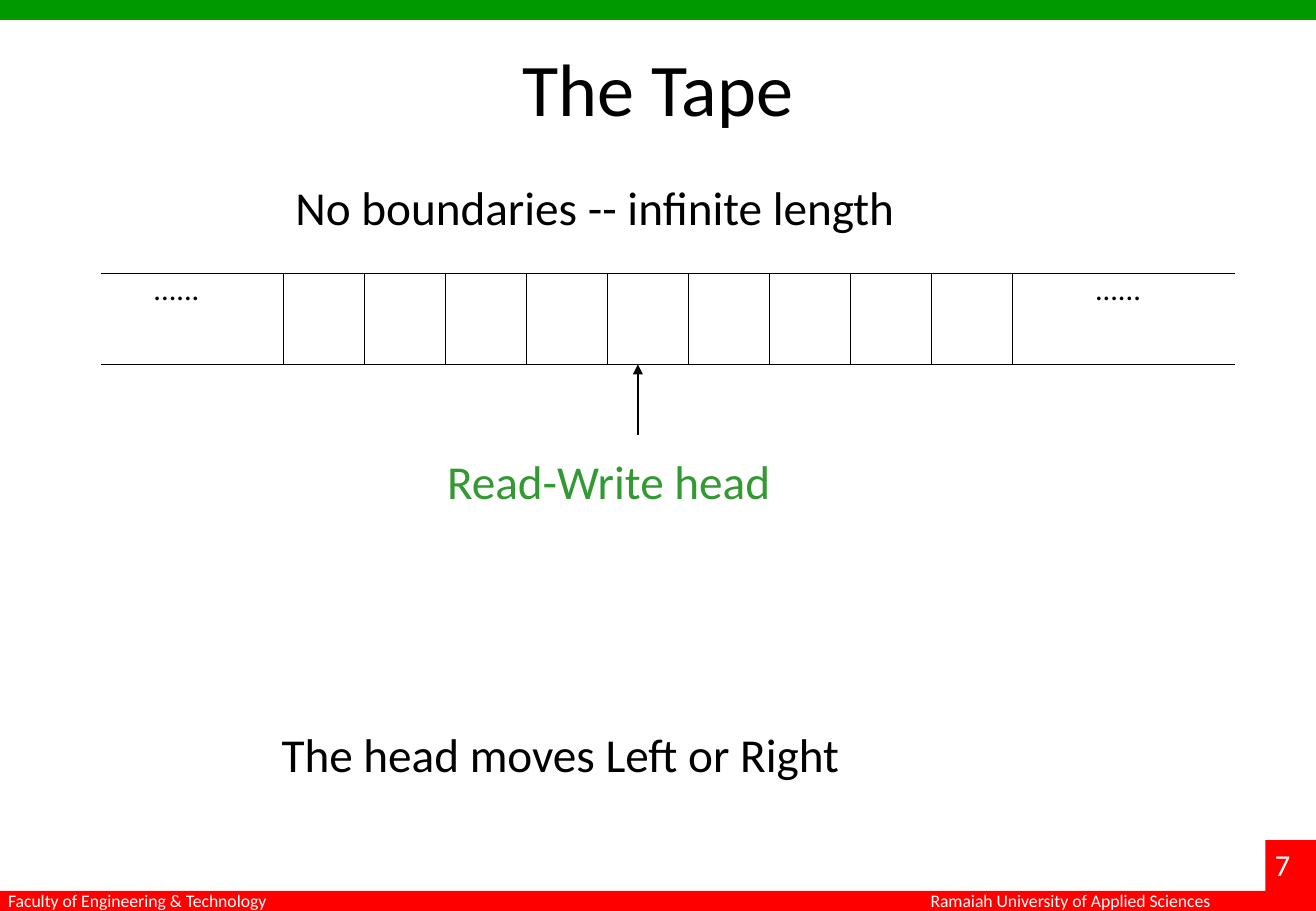
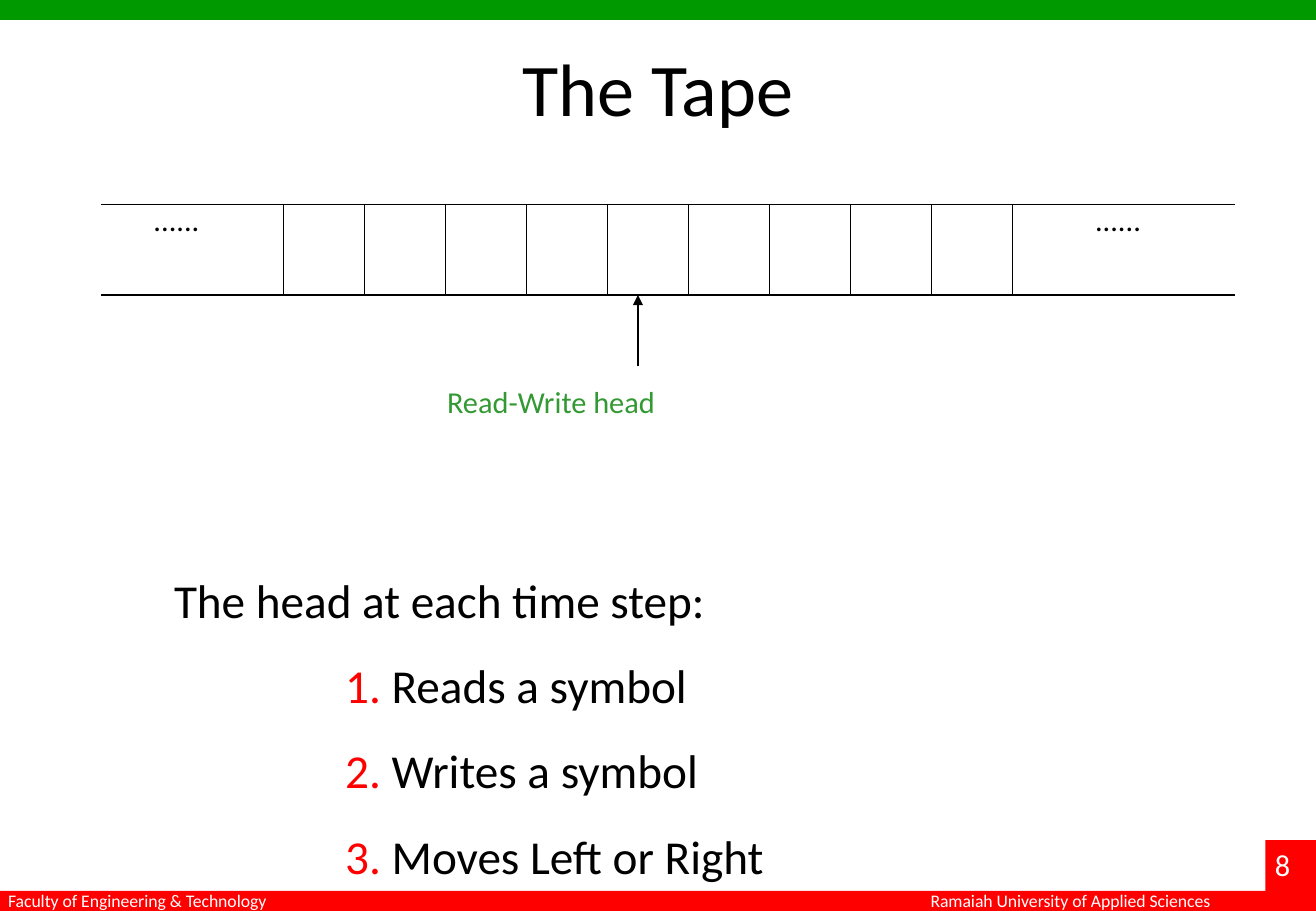
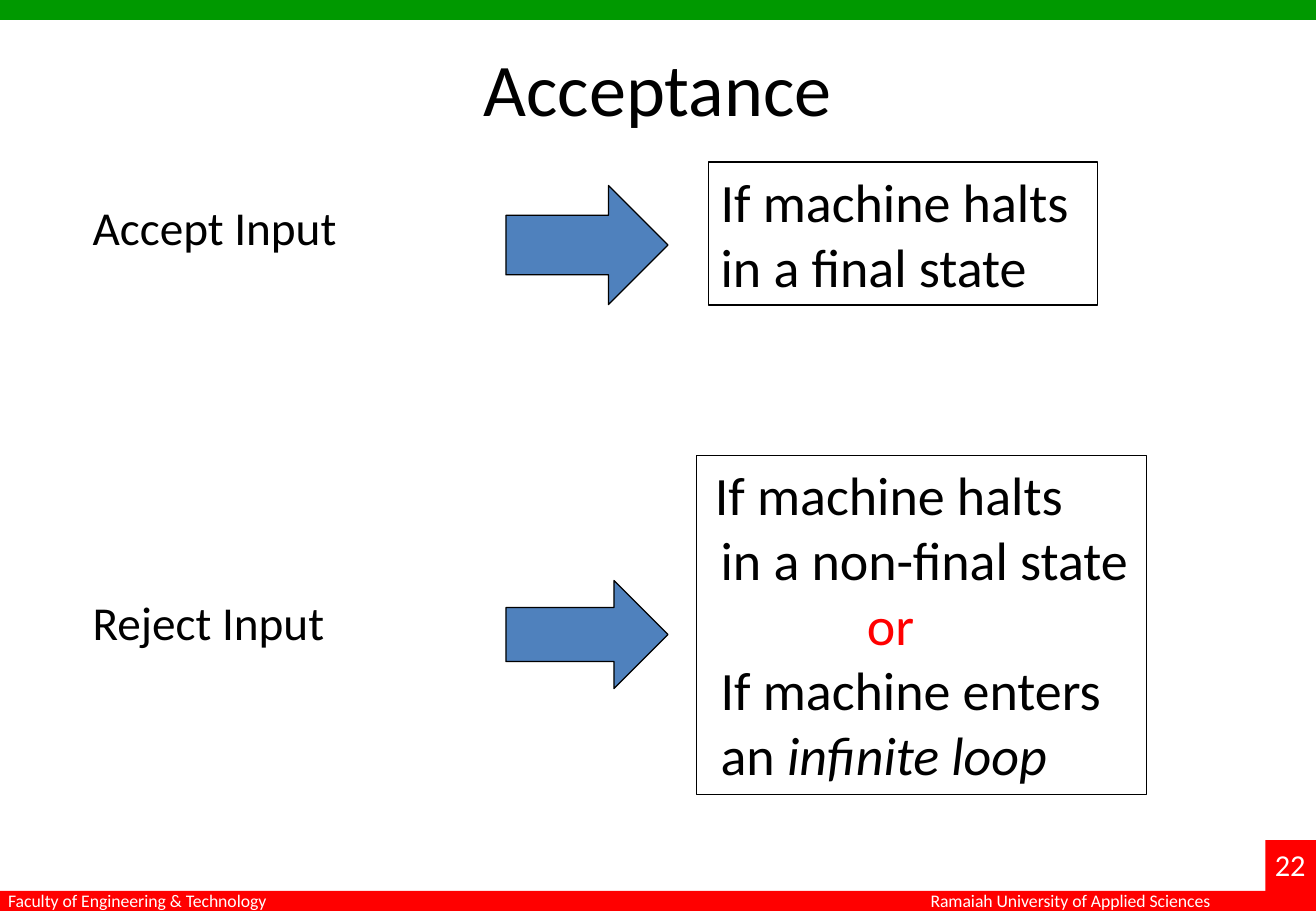
from dataclasses import dataclass

from pptx import Presentation
from pptx.dml.color import RGBColor
from pptx.enum.shapes import MSO_CONNECTOR, MSO_SHAPE
from pptx.enum.text import MSO_ANCHOR, PP_ALIGN
from pptx.oxml.ns import qn
from pptx.util import Cm, Pt
from lxml import etree

FONT = "Calibri"
BLACK, WHITE, RED = "000000", "FFFFFF", "FF0000"
BAND_GREEN, LABEL_GREEN, ARROW_BLUE = "009900", "339933", "4F81BD"
SLIDE_WIDTH, SLIDE_HEIGHT = 27.52, 19.05
BAND_HEIGHT = 0.42
TITLE_ONLY = 5
LINE_WIDTH = 0.75


@dataclass
class Run:
    text: str
    colour: str = ""
    italic: bool = False


@dataclass
class Line:
    """One paragraph: its runs, and its indent in centimetres."""
    runs: list
    indent: float = 0


def rgb(colour):
    return RGBColor.from_string(colour)


def format_font(font, size, colour):
    font.name = FONT
    font.size = Pt(size)
    font.color.rgb = rgb(colour)


def format_line(line, colour=BLACK):
    line.color.rgb = rgb(colour)
    line.width = Pt(LINE_WIDTH)


def write(shape, lines, size, colour=BLACK, spacing=None, margins=(0.25, 0.13),
          anchor=MSO_ANCHOR.TOP):
    """Fill a shape with lines, each a plain string or a Line."""
    frame = shape.text_frame
    frame.word_wrap = True
    frame.vertical_anchor = anchor
    frame.margin_left, frame.margin_right = Cm(margins[0]), 0
    frame.margin_top = frame.margin_bottom = Cm(margins[1])
    for index, line in enumerate(lines):
        if isinstance(line, str):
            line = Line([Run(line)])
        paragraph = frame.add_paragraph() if index else frame.paragraphs[0]
        paragraph.alignment = PP_ALIGN.LEFT
        if spacing:
            paragraph.line_spacing = spacing
        if line.indent:
            paragraph._p.get_or_add_pPr().set("marL", str(Cm(line.indent)))
        format_font(paragraph.font, size, colour)
        for part in line.runs:
            run = paragraph.add_run()
            run.text = part.text
            if part.colour:
                run.font.color.rgb = rgb(part.colour)
            if part.italic:
                run.font.italic = True


def add_text(shapes, left, top, width, height, lines, size, **options):
    box = shapes.add_textbox(Cm(left), Cm(top), Cm(width), Cm(height))
    write(box, lines, size, **options)
    return box


def add_filled(shapes, kind, left, top, width, height, fill, outline=None):
    shape = shapes.add_shape(kind, Cm(left), Cm(top), Cm(width), Cm(height))
    shape.shadow.inherit = False
    shape.fill.solid()
    shape.fill.fore_color.rgb = rgb(fill)
    if outline:
        format_line(shape.line, outline)
    else:
        shape.line.fill.background()
    return shape


def add_line(shapes, start, end, arrow=False):
    connector = shapes.add_connector(
        MSO_CONNECTOR.STRAIGHT, *(Cm(value) for value in (*start, *end)))
    format_line(connector.line)
    if arrow:
        tail = etree.SubElement(connector.line._get_or_add_ln(), qn("a:tailEnd"))
        tail.set("type", "triangle")
    etree.SubElement(connector._element.spPr, qn("a:effectLst"))


def add_slide(presentation, title, number):
    """Add a slide with the shared bands, footers, number and title."""
    slide = presentation.slides.add_slide(presentation.slide_layouts[TITLE_ONLY])
    shapes = slide.shapes
    footer_top = SLIDE_HEIGHT - BAND_HEIGHT
    footer_style = dict(colour=WHITE, anchor=MSO_ANCHOR.MIDDLE)

    add_filled(shapes, MSO_SHAPE.RECTANGLE, 0, 0, SLIDE_WIDTH, BAND_HEIGHT, BAND_GREEN)
    footer = add_filled(shapes, MSO_SHAPE.RECTANGLE, 0, footer_top,
                        SLIDE_WIDTH, BAND_HEIGHT, RED)
    write(footer, ["Faculty of Engineering & Technology"], 10.5,
          margins=(0.17, 0), **footer_style)
    add_text(shapes, 19.46, footer_top, 6.6, BAND_HEIGHT,
             ["Ramaiah University of Applied Sciences"], 10.5,
             margins=(0, 0), **footer_style)
    number_block = add_filled(shapes, MSO_SHAPE.RECTANGLE, 26.46, 17.57, 1.06, 1.48, RED)
    write(number_block, [str(number)], 18, colour=WHITE, margins=(0.2, 0.13))

    placeholder = shapes.title
    placeholder.left, placeholder.top = Cm(1.38), Cm(0.76)
    placeholder.width, placeholder.height = Cm(24.76), Cm(3.18)
    placeholder.text_frame.text = title
    placeholder.text_frame.vertical_anchor = MSO_ANCHOR.TOP
    paragraph = placeholder.text_frame.paragraphs[0]
    paragraph.alignment = PP_ALIGN.CENTER
    format_font(paragraph.font, 44, BLACK)
    return slide


def add_tape(slide, top, label_size):
    """Draw the tape with its cells, and the labelled head below it."""
    shapes = slide.shapes.add_group_shape().shapes
    bottom = top + 1.9
    first_cell, last_cell, cell_count = 5.93, 21.17, 9
    cell_width = (last_cell - first_cell) / cell_count
    for y in (top, bottom):
        add_line(shapes, (2.12, y), (25.82, y))
    for index in range(cell_count + 1):
        x = first_cell + index * cell_width
        add_line(shapes, (x, top), (x, bottom))
    for left in (2.96, 22.65):
        add_text(shapes, left, top - 0.2, 1.6, 1.02, ["......"], 18)
    add_line(shapes, (13.34, bottom + 1.48), (13.34, bottom), arrow=True)
    add_text(shapes, 9.1, top + 3.61, 7.6, 1.45, ["Read-Write head"], label_size,
             colour=LABEL_GREEN)


def build_tape_slide(presentation):
    slide = add_slide(presentation, "The Tape", 7)
    add_tape(slide, 5.72, 28)
    add_text(slide.shapes, 5.93, 3.6, 13.5, 1.45, ["No boundaries -- infinite length"], 28)
    add_text(slide.shapes, 5.64, 15.04, 12.6, 1.45, ["The head moves Left or Right"], 28)


def build_steps_slide(presentation):
    slide = add_slide(presentation, "The Tape", 8)
    add_tape(slide, 4.27, 18)
    steps = ("Reads a symbol", "Writes a symbol", "Moves Left or Right")
    lines = ["The head at each time step:"]
    for number, step in enumerate(steps, 1):
        lines.append(Line([Run(f"{number}.", RED), Run(f" {step}")], 3.58))
    add_text(slide.shapes, 3.39, 11.23, 13.3, 7.44, lines, 28, spacing=1.5)


def build_acceptance_slide(presentation):
    slide = add_slide(presentation, "Acceptance", 22)
    shapes = slide.shapes
    accept_lines = ["If machine halts", "in a final state"]
    reject_lines = [
        Line([Run("If machine halts")], 0.13),
        Line([Run("in a non-final state")], 0.25),
        Line([Run("or", RED)], 3.31),
        Line([Run("If machine enters")], 0.25),
        Line([Run("an "), Run("infinite loop", italic=True)], 0.25),
    ]
    cases = (
        ("Accept Input", 4.02, (3.88, 2.49), (14.82, 3.39, 8.13, 2.99), accept_lines),
        ("Reject Input", 12.28, (12.14, 2.26), (14.57, 9.53, 9.41, 7.08), reject_lines),
    )
    for label, label_top, (arrow_top, arrow_height), box, lines in cases:
        add_text(shapes, 1.69, label_top, 6, 1.45, [label], 28)
        add_filled(shapes, MSO_SHAPE.RIGHT_ARROW, 10.58, arrow_top, 3.39, arrow_height,
                   ARROW_BLUE, BLACK)
        condition = add_text(shapes, *box, lines, 32)
        format_line(condition.line)


def main():
    presentation = Presentation()
    presentation.slide_width = Cm(SLIDE_WIDTH)
    presentation.slide_height = Cm(SLIDE_HEIGHT)
    build_tape_slide(presentation)
    build_steps_slide(presentation)
    build_acceptance_slide(presentation)
    presentation.save("out.pptx")


if __name__ == "__main__":
    main()
